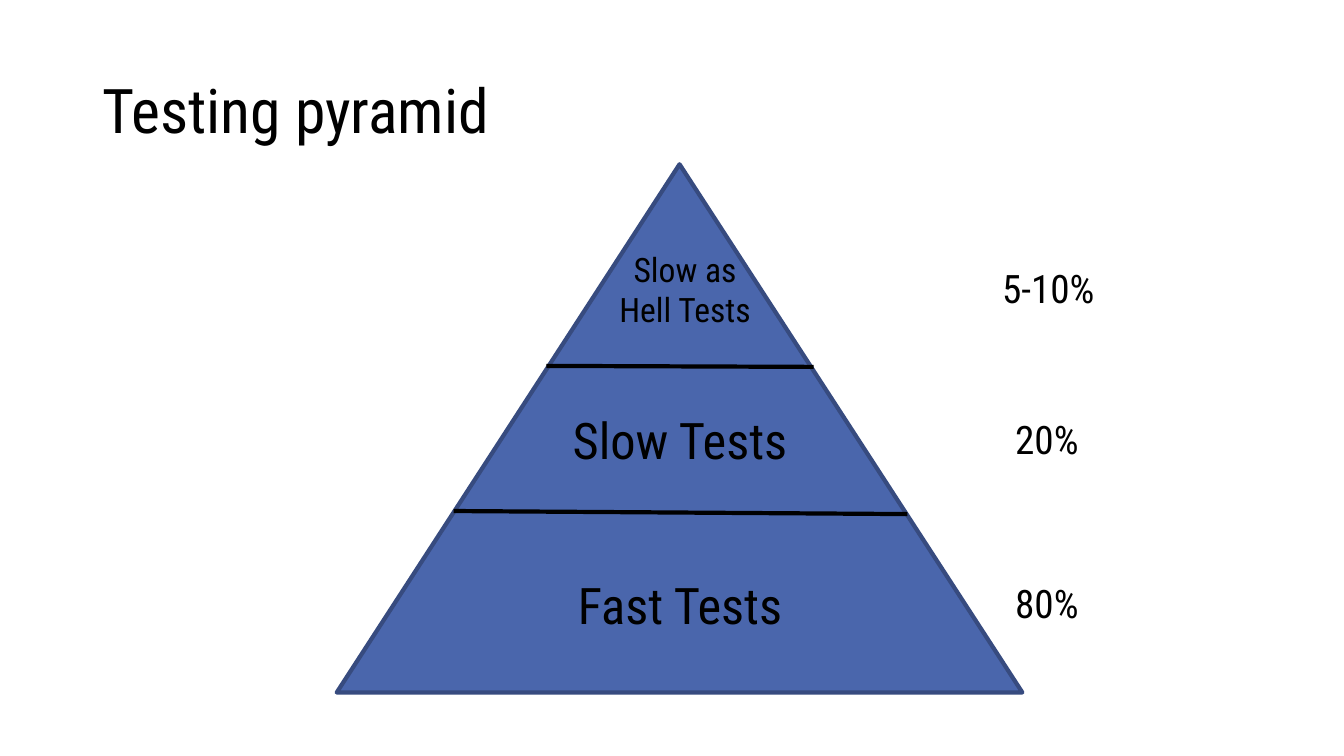
from lxml.etree import SubElement
from pptx import Presentation
from pptx.dml.color import RGBColor
from pptx.enum.shapes import MSO_CONNECTOR, MSO_SHAPE
from pptx.enum.text import MSO_ANCHOR, PP_ALIGN
from pptx.oxml.ns import qn
from pptx.util import Inches, Pt


def color(code):
    return RGBColor.from_string(code)


class Painter:
    font = "Roboto Condensed"
    ink = "000000"
    fill = "4A66AC"
    edge = "374B7F"
    weight = Pt(3)

    def __init__(self, slide):
        self.shapes = slide.shapes

    def text(self, words, box, size, align=PP_ALIGN.LEFT,
             anchor=MSO_ANCHOR.TOP, spacing=1.0):
        """Add a text box with one paragraph for each line of words."""
        frame = self.shapes.add_textbox(*map(Inches, box)).text_frame
        frame.word_wrap = True
        frame.vertical_anchor = anchor
        frame.text = words
        for para in frame.paragraphs:
            para.alignment = align
            para.line_spacing = spacing
            para.font.name = self.font
            para.font.size = Pt(size)
            para.font.color.rgb = color(self.ink)

    def pyramid(self, box):
        shape = self.shapes.add_shape(
            MSO_SHAPE.ISOSCELES_TRIANGLE, *map(Inches, box))
        shape.shadow.inherit = False
        shape.fill.solid()
        shape.fill.fore_color.rgb = color(self.fill)
        shape.line.color.rgb = color(self.edge)
        shape.line.width = self.weight

    def divider(self, ends):
        line = self.shapes.add_connector(
            MSO_CONNECTOR.STRAIGHT, *map(Inches, ends))
        line.line.color.rgb = color(self.ink)
        line.line.width = self.weight
        SubElement(line._element.spPr, qn("a:effectLst"))


def main():
    deck = Presentation()
    deck.slide_width, deck.slide_height = Inches(13.33), Inches(7.5)
    paint = Painter(deck.slides.add_slide(deck.slide_layouts[6]))

    paint.text("Testing pyramid", (0.92, 0.4, 11.5, 1.45), 44,
               anchor=MSO_ANCHOR.MIDDLE, spacing=0.9)
    paint.pyramid((3.34, 1.63, 6.8, 5.24))
    for ends in ((4.5, 5.07, 9, 5.1), (5.42, 3.63, 8.07, 3.64)):
        paint.divider(ends)

    levels = (
        ("Fast Tests", (5.38, 5.64, 2.73, 0.71), 36,
         "80%", (9.97, 5.7, 0.95, 0.57)),
        ("Slow Tests", (5.38, 4, 2.73, 0.71), 36,
         "20%", (9.97, 4.07, 0.95, 0.57)),
        ("Slow as\nHell Tests", (5.43, 2.41, 2.73, 0.91), 24,
         "5-10%", (9.84, 2.57, 1.24, 0.57)),
    )
    for name, box, size, share, spot in levels:
        paint.text(name, box, size, PP_ALIGN.CENTER, MSO_ANCHOR.MIDDLE)
        paint.text(share, spot, 28)

    deck.save("out.pptx")


if __name__ == "__main__":
    main()
